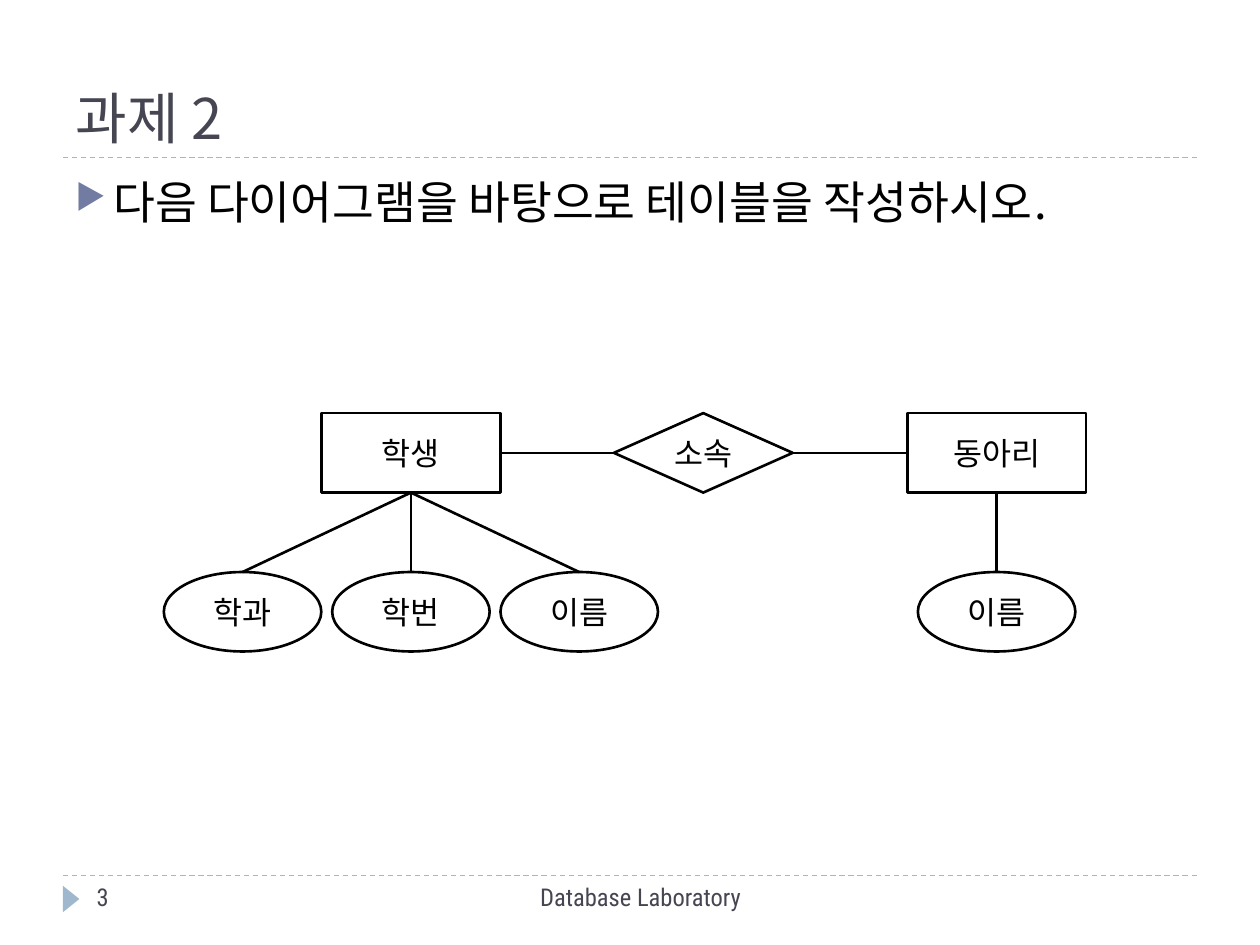
from lxml import etree
from pptx import Presentation
from pptx.dml.color import RGBColor
from pptx.enum.dml import MSO_LINE
from pptx.enum.shapes import MSO_CONNECTOR, MSO_SHAPE
from pptx.enum.text import MSO_ANCHOR, MSO_AUTO_SIZE, PP_ALIGN
from pptx.oxml.ns import qn
from pptx.util import Pt

COLORS = {"ink": "000000", "paper": "FFFFFF", "heading": "464653",
          "accent": "9FB8CD", "bullet": "727CA3"}
KOREAN, DIAGRAM, FOOTER = "Noto Sans CJK KR", "Calibri", "Roboto Condensed"
RECT, DIAMOND, ELLIPSE = MSO_SHAPE.RECTANGLE, MSO_SHAPE.DIAMOND, MSO_SHAPE.OVAL
TRIANGLE, STRAIGHT = MSO_SHAPE.ISOSCELES_TRIANGLE, MSO_CONNECTOR.STRAIGHT
LEFT, CENTER = PP_ALIGN.LEFT, PP_ALIGN.CENTER
TOP, MIDDLE, BOTTOM = MSO_ANCHOR.TOP, MSO_ANCHOR.MIDDLE, MSO_ANCHOR.BOTTOM
DASH, NO_AUTOFIT = MSO_LINE.DASH, MSO_AUTO_SIZE.NONE

# Diagram grid
NODE_H = 45.4
ENTITY_W, ATTR_W, ATTR_STEP = 102.2, 90, 96.2
ENTITY_Y, ATTR_Y = 258.8, 349.6
STUDENT_X, MEMBER_X, CLUB_X = 234.8, 401.9, 569.5


def color(name):
    return RGBColor.from_string(COLORS[name])


def set_text(sp, text, size, font, ink, align=LEFT, anchor=TOP):
    tf = sp.text_frame
    tf.word_wrap = True
    tf.auto_size = NO_AUTOFIT
    tf.vertical_anchor = anchor
    p = tf.paragraphs[0]
    p.text = text
    p.alignment = align
    p.font.size = Pt(size)
    p.font.name = font
    p.font.color.rgb = color(ink)
    # Hangul takes the East Asian font of the run
    rPr = p.runs[0].font._element
    etree.SubElement(rPr, qn("a:ea"), typeface=KOREAN)
    return p


def add_text(s, x, y, w, h, *style, **layout):
    sp = s.shapes.add_textbox(Pt(x), Pt(y), Pt(w), Pt(h))
    return set_text(sp, *style, **layout)


def add_bullet(p, indent, char, ink, percent):
    pPr = p._p.get_or_add_pPr()
    pPr.set("marL", str(Pt(indent)))
    pPr.set("indent", str(-Pt(indent)))
    p.space_before = Pt(6)
    bullet = [etree.Element(qn("a:buClr")),
              etree.Element(qn("a:buSzPct"), val=str(percent * 1000)),
              etree.Element(qn("a:buChar"), char=char)]
    etree.SubElement(bullet[0], qn("a:srgbClr"), val=COLORS[ink])
    # Bullet elements stand before the default run properties
    defRPr = pPr.find(qn("a:defRPr"))
    for element in bullet:
        defRPr.addprevious(element)


def add_line(s, x1, y1, x2, y2, ink="ink", width=1.5, dash=None):
    line = s.shapes.add_connector(STRAIGHT, Pt(x1), Pt(y1), Pt(x2), Pt(y2))
    line.line.color.rgb = color(ink)
    line.line.width = Pt(width)
    if dash:
        line.line.dash_style = dash
    etree.SubElement(line._element.spPr, qn("a:effectLst"))


def add_node(s, kind, cx, cy, w, text):
    sp = s.shapes.add_shape(kind, Pt(cx - w / 2), Pt(cy - NODE_H / 2),
                            Pt(w), Pt(NODE_H))
    sp.shadow.inherit = False
    sp.fill.solid()
    sp.fill.fore_color.rgb = color("paper")
    sp.line.color.rgb = color("ink")
    sp.line.width = Pt(1.5)
    set_text(sp, text, 18, DIAGRAM, "ink", CENTER, MIDDLE)


def add_attributes(s, entity_x, names):
    first = entity_x - ATTR_STEP * (len(names) - 1) / 2
    for i, name in enumerate(names):
        x = first + i * ATTR_STEP
        add_node(s, ELLIPSE, x, ATTR_Y, ATTR_W, name)
        add_line(s, entity_x, ENTITY_Y + NODE_H / 2, x, ATTR_Y - NODE_H / 2)


def add_marker(s):
    sp = s.shapes.add_shape(TRIANGLE, Pt(33.1), Pt(509), Pt(15.1), Pt(9.4))
    sp.rotation = 90
    sp.shadow.inherit = False
    sp.fill.solid()
    sp.fill.fore_color.rgb = color("accent")
    sp.line.fill.background()


def add_title(s, text):
    sp = s.shapes.title
    sp.left, sp.top, sp.width, sp.height = Pt(36), Pt(12.2), Pt(648), Pt(77.8)
    set_text(sp, text, 32, KOREAN, "heading", anchor=BOTTOM)


def main():
    prs = Presentation()
    prs.slide_width, prs.slide_height = Pt(720), Pt(540)
    s = prs.slides.add_slide(prs.slide_layouts[5])

    # Rules, heading and task
    for y in (500.4, 90):
        add_line(s, 36, y, 684, y, "accent", 0.75, DASH)
    add_marker(s)
    add_title(s, "과제 2")
    p = add_text(s, 36, 95.8, 648, 388.8,
                 "다음 다이어그램을 바탕으로 테이블을 작성하시오.",
                 26, KOREAN, "ink")
    add_bullet(p, 21.6, "▶", "bullet", 76)

    # Footer
    add_text(s, 228.2, 500.4, 275.8, 28.8, "Database Laboratory",
             14, FOOTER, "heading", align=CENTER)
    add_text(s, 48.2, 500.4, 156.2, 28.8, "3", 14, FOOTER, "heading")

    # Entities and their relationship
    nodes = [(RECT, STUDENT_X, "학생"), (DIAMOND, MEMBER_X, "소속"),
             (RECT, CLUB_X, "동아리")]
    for kind, x, name in nodes:
        add_node(s, kind, x, ENTITY_Y, ENTITY_W, name)
    for x1, x2 in ((STUDENT_X, MEMBER_X), (MEMBER_X, CLUB_X)):
        add_line(s, x1 + ENTITY_W / 2, ENTITY_Y, x2 - ENTITY_W / 2, ENTITY_Y)

    # Attributes
    add_attributes(s, STUDENT_X, ["학과", "학번", "이름"])
    add_attributes(s, CLUB_X, ["이름"])

    prs.save("out.pptx")


main()
